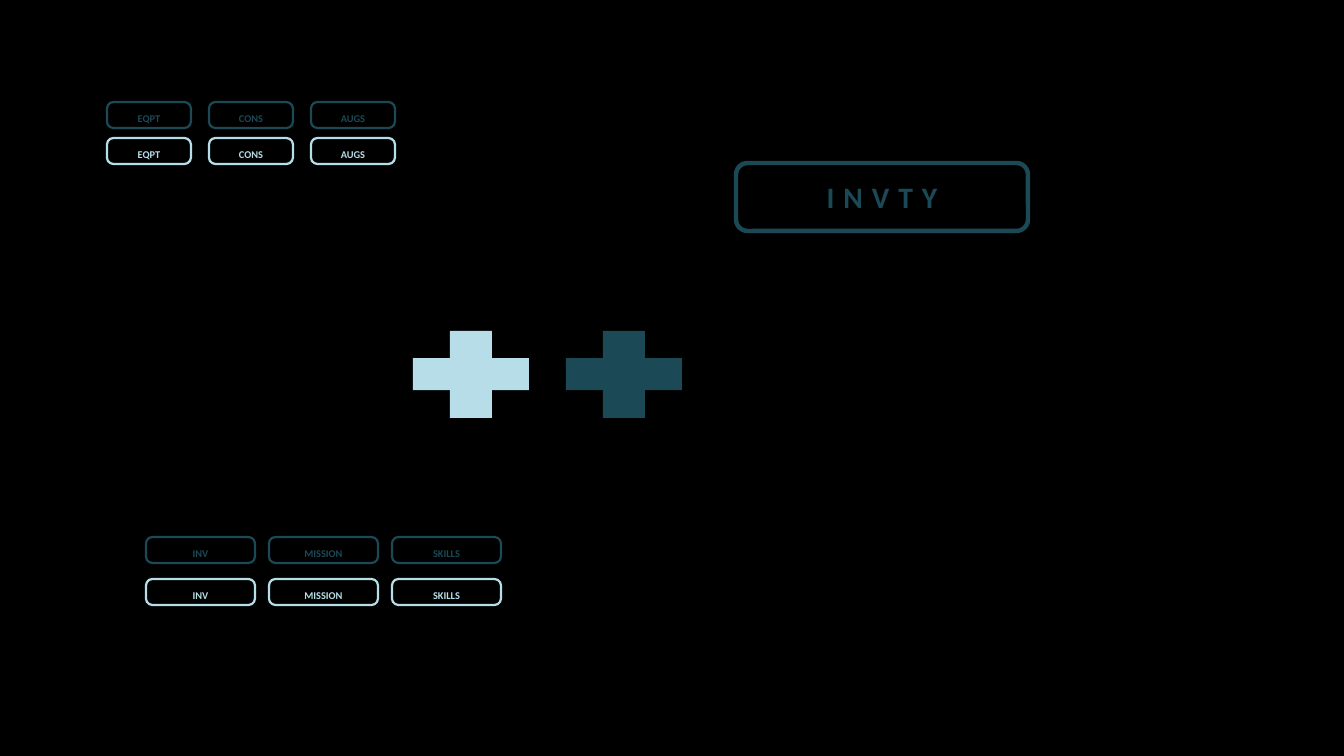
from pptx import Presentation
from pptx.dml.color import RGBColor
from pptx.enum.shapes import MSO_SHAPE
from pptx.enum.text import MSO_ANCHOR, PP_ALIGN
from pptx.util import Emu, Pt

SCALE = 8572.5
DARK = "1B4955"
LIGHT = "B7DEE8"


def px(n):
    return Emu(round(n * SCALE))


def paint(target, color):
    target.solid()
    target.fore_color.rgb = RGBColor.from_string(color)


def add_box(slide, kind, left, top, width, height):
    box = slide.shapes.add_shape(kind, px(left), px(top), px(width), px(height))
    box.shadow.inherit = False
    return box


def add_bar(slide, left, top, width, height, color, turn=0):
    bar = add_box(slide, MSO_SHAPE.RECTANGLE, left, top, width, height)
    paint(bar.fill, color)
    bar.line.fill.background()
    bar.rotation = turn


def add_plus(slide, left, color):
    add_bar(slide, left, 331, 42, 87, color)
    add_bar(slide, left + 5, 316, 32, 116, color, 270)


def add_button(slide, text, left, top, width, height, color,
               size=7, weight=1.5, leading=1.5, round_by=0.25):
    button = add_box(slide, MSO_SHAPE.ROUNDED_RECTANGLE, left, top, width, height)
    button.adjustments[0] = round_by
    button.fill.background()
    paint(button.line.fill, color)
    button.line.width = Pt(weight)
    frame = button.text_frame
    frame.vertical_anchor = MSO_ANCHOR.MIDDLE
    para = frame.paragraphs[0]
    para.text = text
    para.alignment = PP_ALIGN.CENTER
    para.line_spacing = leading
    font = para.font
    font.name = "Calibri"
    font.size = Pt(size)
    font.bold = True
    paint(font.fill, color)
    return button


def add_row(slide, labels, left, top, step, width, color):
    for i, label in enumerate(labels):
        add_button(slide, label, left + i * step, top, width, 26, color)


def add_title(slide):
    title = add_button(slide, "INVTY", 736, 163, 292, 68, DARK,
                       size=20, weight=3, leading=1.0, round_by=0.17)
    run = title.text_frame.paragraphs[0].runs[0]
    run._r.get_or_add_rPr().set("spc", "600")


def main():
    deck = Presentation()
    deck.slide_width, deck.slide_height = px(1344), px(756)
    slide = deck.slides.add_slide(deck.slide_layouts[6])
    paint(slide.background.fill, "000000")

    add_plus(slide, 450, LIGHT)
    add_plus(slide, 603, DARK)
    add_title(slide)

    gear = ["EQPT", "CONS", "AUGS"]
    tabs = ["INV", "MISSION", "SKILLS"]
    for color, high, low in [(DARK, 102, 537), (LIGHT, 138, 579)]:
        add_row(slide, gear, 107, high, 102, 84, color)
        add_row(slide, tabs, 146, low, 123, 109, color)

    deck.save("out.pptx")


main()
